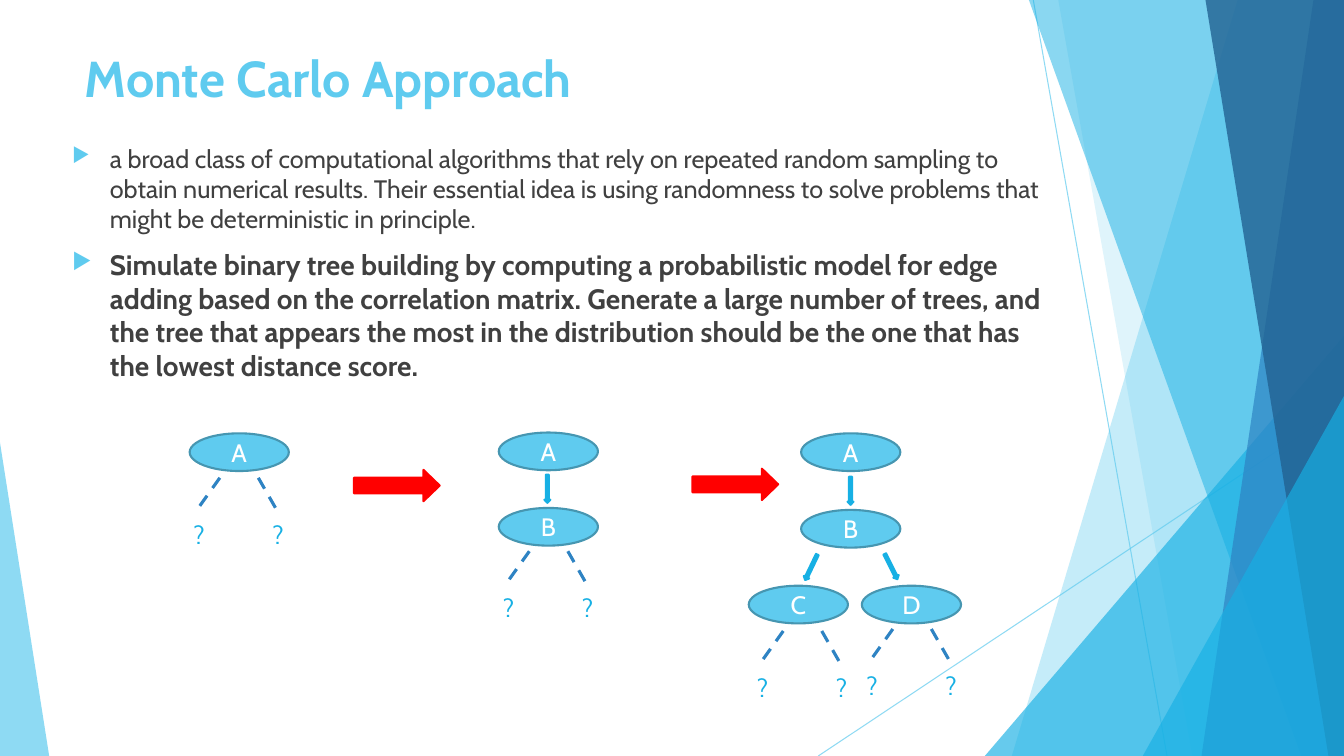
from dataclasses import dataclass

from lxml import etree
from pptx import Presentation
from pptx.dml.color import RGBColor
from pptx.enum.dml import MSO_LINE
from pptx.enum.shapes import MSO_CONNECTOR, MSO_SHAPE
from pptx.enum.text import MSO_ANCHOR, MSO_AUTO_SIZE, PP_ALIGN
from pptx.oxml.ns import qn
from pptx.util import Cm, Pt

OVAL, TRIANGLE = MSO_SHAPE.OVAL, MSO_SHAPE.ISOSCELES_TRIANGLE
LEFT_ARROW, STRAIGHT = MSO_SHAPE.LEFT_ARROW, MSO_CONNECTOR.STRAIGHT
DASH = MSO_LINE.DASH
TOP, MIDDLE = MSO_ANCHOR.TOP, MSO_ANCHOR.MIDDLE
LEFT, CENTER = PP_ALIGN.LEFT, PP_ALIGN.CENTER
GROW, NO_FIT = MSO_AUTO_SIZE.SHAPE_TO_FIT_TEXT, MSO_AUTO_SIZE.NONE

WIDTH, HEIGHT = 33.87, 19.05
NODE_SIZE = (2.5, 0.95)
STEP_SIZE = (2.16, 0.79)
EDGE_SIZE = (0.71, 0.15)


@dataclass(frozen=True)
class Theme:
    font: str = "Cabin"
    sky: str = "5FCBEF"
    cyan: str = "17B0E4"
    blue: str = "2E83C3"
    navy: str = "226292"
    node_line: str = "4696B1"
    red: str = "FF0000"
    text: str = "404040"
    white: str = "FFFFFF"
    title_size: int = 36
    strong_size: int = 20
    text_size: int = 18


class TreeSlide:
    def __init__(self, slide, theme):
        self.slide, self.shapes, self.theme = slide, slide.shapes, theme

    def set_alpha(self, shape, percent):
        for color in shape.element.spPr.iter(qn("a:srgbClr")):
            etree.SubElement(color, qn("a:alpha"), val=str(percent * 1000))

    def paint(self, shape, fill, line=None, alpha=100):
        shape.shadow.inherit = False
        shape.fill.solid()
        shape.fill.fore_color.rgb = RGBColor.from_string(fill)
        if line:
            shape.line.color.rgb = RGBColor.from_string(line)
            shape.line.width = Pt(1.5)
        else:
            shape.line.fill.background()
        if alpha < 100:
            self.set_alpha(shape, alpha)

    def add_span(self, para, words, color, size, bold=False, align=LEFT):
        para.alignment = align
        span = para.add_run()
        span.text = words
        span.font.name = self.theme.font
        span.font.size = Pt(size)
        span.font.bold = bold
        span.font.color.rgb = RGBColor.from_string(color)

    def title(self, words, left, top, width, height):
        box = self.shapes.title
        box.left, box.top, box.width, box.height = map(Cm, (left, top, width, height))
        frame = box.text_frame
        frame.vertical_anchor, frame.auto_size = TOP, NO_FIT
        self.add_span(frame.paragraphs[0], words, self.theme.sky, self.theme.title_size, True)

    def bullets(self, items, left, top, width, height):
        frame = self.shapes.add_textbox(*map(Cm, (left, top, width, height))).text_frame
        frame.word_wrap = True
        for index, (words, size, bold) in enumerate(items):
            para = frame.add_paragraph() if index else frame.paragraphs[0]
            if index:
                para.space_before = Pt(10)
            self.add_bullet(para)
            self.add_span(para, words, self.theme.text, size, bold)

    def add_bullet(self, para):
        props = para._p.get_or_add_pPr()
        props.set("marL", str(Cm(0.95)))
        props.set("indent", str(-Cm(0.95)))
        color = etree.SubElement(props, qn("a:buClr"))
        etree.SubElement(color, qn("a:srgbClr"), val=self.theme.sky)
        etree.SubElement(props, qn("a:buSzPct"), val="80000")
        etree.SubElement(props, qn("a:buChar"), char="▶")

    def line(self, start, end, color, weight, dash=None, alpha=100):
        line = self.shapes.add_connector(STRAIGHT, *map(Cm, (*start, *end)))
        line.line.color.rgb = RGBColor.from_string(color)
        line.line.width = Pt(weight)
        if dash:
            line.line.dash_style = dash
        if alpha < 100:
            self.set_alpha(line, alpha)
        etree.SubElement(line.element.spPr, qn("a:effectLst"))

    def band(self, top_x, bottom_x, color, alpha):
        """Fill the slide from a slanted edge to its right side."""
        builder = self.shapes.build_freeform(Cm(top_x), 0)
        corners = [(WIDTH, 0), (WIDTH, HEIGHT), (bottom_x, HEIGHT)]
        builder.add_line_segments([(Cm(x), Cm(y)) for x, y in corners])
        self.paint(builder.convert_to_shape(), color, alpha=alpha)

    def corner(self, left, top, width, apex, color, alpha):
        """Draw a right triangle standing on the bottom edge."""
        shape = self.shapes.add_shape(TRIANGLE, *map(Cm, (left, top, width, HEIGHT - top)))
        shape.adjustments[0] = apex
        self.paint(shape, color, alpha=alpha)

    def node(self, letter, left, top):
        shape = self.shapes.add_shape(OVAL, *map(Cm, (left, top, *NODE_SIZE)))
        self.paint(shape, self.theme.sky, self.theme.node_line)
        shape.text_frame.vertical_anchor = MIDDLE
        self.add_span(shape.text_frame.paragraphs[0], letter, self.theme.white,
                      self.theme.text_size, align=CENTER)

    def arrow(self, left, top, size, rotation, color):
        shape = self.shapes.add_shape(LEFT_ARROW, *map(Cm, (left, top, *size)))
        shape.adjustments[0], shape.adjustments[1] = 0.5, 0.52
        shape.rotation = rotation
        self.paint(shape, color, color)

    def fork(self, x, y):
        """Draw two dashed branches, each ending in a question mark."""
        for start, end, mark in ((0, -0.55, -0.91), (0.97, 1.41, 1.08)):
            self.line((x + start, y), (x + end, y + 0.77), self.theme.blue, 2.25, DASH)
            box = self.shapes.add_textbox(*map(Cm, (x + mark, y + 0.92, 0.76, 1.02)))
            box.text_frame.auto_size = GROW
            self.add_span(box.text_frame.paragraphs[0], "?", self.theme.cyan,
                          self.theme.text_size)


def draw_background(page, theme):
    page.line((26.04, 0), (29.41, HEIGHT), theme.sky, 0.75, alpha=70)
    page.line((WIDTH, 10.24), (20.62, HEIGHT), theme.sky, 0.75, alpha=70)
    page.band(31.19, 25.5, theme.sky, 36)
    page.band(26.67, 30.05, theme.sky, 20)
    page.corner(24.82, 8.46, 9.05, 1, theme.cyan, 66)
    page.band(25.93, 32.79, theme.cyan, 50)
    page.band(33.1, 30.28, theme.blue, 70)
    page.band(30.38, 33.48, theme.navy, 80)
    page.corner(28.8, 9.98, 5.07, 1, theme.cyan, 66)
    page.corner(0, 11.15, 1.24, 0, theme.sky, 70)


def draw_trees(page, theme):
    nodes = [("A", 4.78, 10.92),
             ("A", 12.57, 10.9), ("B", 12.57, 12.8),
             ("A", 20.19, 10.92), ("B", 20.19, 12.85),
             ("C", 18.87, 14.76), ("D", 21.72, 14.76)]
    for node in nodes:
        page.node(*node)
    edges = [(13.44, 12.24, 270), (21.08, 12.29, 270),
             (20.09, 14.22, 295.6), (22.1, 14.2, 243.3)]
    for left, top, rotation in edges:
        page.arrow(left, top, EDGE_SIZE, rotation, theme.cyan)
    for left, top in ((8.92, 11.84), (17.45, 11.81)):
        page.arrow(left, top, STEP_SIZE, 180, theme.red)
    for x, y in ((5.54, 12.04), (13.34, 13.89), (19.74, 15.9), (22.5, 15.85)):
        page.fork(x, y)


def main():
    theme = Theme()
    deck = Presentation()
    deck.slide_width, deck.slide_height = Cm(WIDTH), Cm(HEIGHT)
    page = TreeSlide(deck.slides.add_slide(deck.slide_layouts[5]), theme)
    draw_background(page, theme)
    page.title("Monte Carlo Approach", 1.88, 1.07, 23.88, 2.41)
    page.bullets([
        ("a broad class of computational algorithms that rely on repeated random sampling "
         "to obtain numerical results. Their essential idea is using randomness to solve "
         "problems that might be deterministic in principle.", theme.text_size, False),
        ("Simulate binary tree building by computing a probabilistic model for edge adding "
         "based on the correlation matrix. Generate a large number of trees, and the tree "
         "that appears the most in the distribution should be the one that has the lowest "
         "distance score.", theme.strong_size, True),
    ], 1.57, 3.48, 25.02, 7.9)
    draw_trees(page, theme)
    deck.save("out.pptx")


if __name__ == "__main__":
    main()
